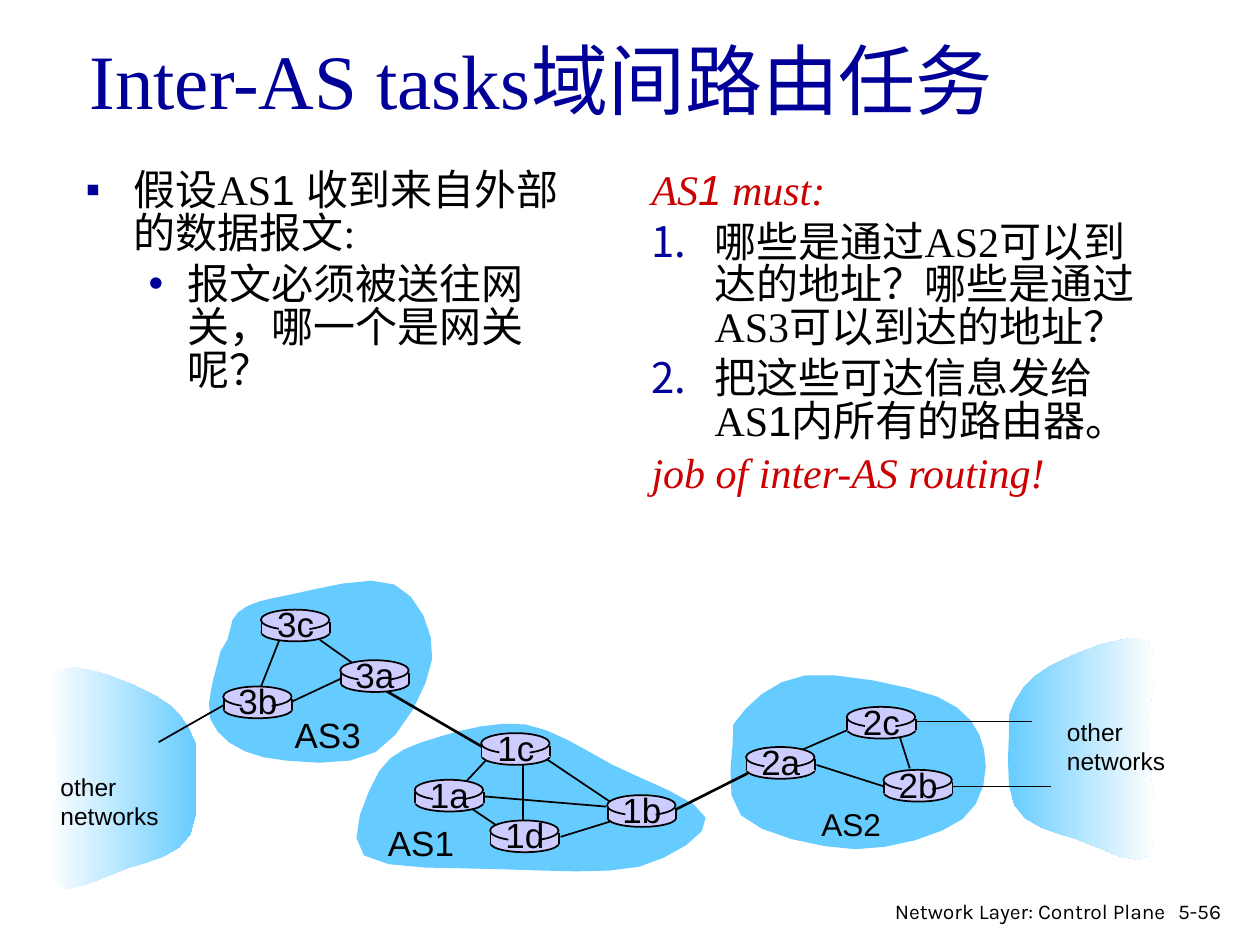
import pptx
import pptx.dml.color
import pptx.enum.shapes
import pptx.enum.text
import pptx.oxml
import pptx.oxml.ns
import pptx.util
from lxml import etree

Cm = pptx.util.Cm
Pt = pptx.util.Pt
Kind = pptx.enum.shapes.MSO_SHAPE
Align = pptx.enum.text.PP_ALIGN
qn = pptx.oxml.ns.qn
SERIF, SANS, FOOT = "Times New Roman", "Arial", "Karla"
NAVY, RED, BLACK = "000099", "CC0000", "000000"
SKY, LILAC, WHITE = "66CCFF", "CCCCFF", "FFFFFF"


def hue(code):
    return pptx.dml.color.RGBColor.from_string(code)


def join(x1, y1, x2, y2, width=1):
    """Draw a plain black line between two points given in cm."""
    line = slide.shapes.add_connector(
        pptx.enum.shapes.MSO_CONNECTOR.STRAIGHT, Cm(x1), Cm(y1), Cm(x2), Cm(y2))
    line.line.color.rgb = hue(BLACK)
    line.line.width = Pt(width)
    etree.SubElement(line._element.spPr, qn("a:effectLst"))


deck = pptx.Presentation()
deck.slide_width, deck.slide_height = Cm(25.4), Cm(19.05)
slide = deck.slides.add_slide(deck.slide_layouts[3])
title, left, right = slide.placeholders

# Title
title.left, title.top, title.width, title.height = Cm(1.55), Cm(0), Cm(21.59), Cm(3.18)
frame = title.text_frame
frame.text = "Inter-AS tasks域间路由任务"
frame.auto_size = pptx.enum.text.MSO_AUTO_SIZE.NONE
frame.vertical_anchor = pptx.enum.text.MSO_ANCHOR.MIDDLE
head = frame.paragraphs[0]
head.alignment = Align.LEFT
font = head.runs[0].font
font.name, font.size, font.color.rgb = SERIF, Pt(44), hue(NAVY)

# Lists: level, margin, indent, bullet, colour, runs
auto = ("a:buAutoNum", "type", "arabicPeriod")
none = ("a:buNone", None, None)
tasks = [
    (0, 0.97, -0.97, ("a:buChar", "char", "▪"), BLACK,
     [("假设AS", SERIF), ("1 ", SANS), ("收到来自外部的数据报文:", SERIF)]),
    (1, 2.06, -0.79, ("a:buChar", "char", "•"), BLACK,
     [("报文必须被送往网关，哪一个是网关呢？", SERIF)]),
]
duties = [
    (0, 1.27, -1.27, none, RED, [("AS", SERIF), ("1", SANS), (" must:", SERIF)]),
    (0, 1.27, -1.27, auto, BLACK,
     [("哪些是通过AS2可以到达的地址？哪些是通过AS3可以到达的地址？", SERIF)]),
    (0, 1.27, -1.27, auto, BLACK,
     [("把这些可达信息发给AS", SERIF), ("1内所有的路由器。", SANS)]),
    (0, 1.27, -1.27, none, RED, [("job of inter-AS routing!", SERIF)]),
]
for body, x, high, rows in [(left, 1.47, 8.1, tasks), (right, 12.88, 12.9, duties)]:
    body.left, body.top, body.width, body.height = Cm(x), Cm(3.33), Cm(10.59), Cm(high)
    frame = body.text_frame
    frame.auto_size = pptx.enum.text.MSO_AUTO_SIZE.NONE
    for i, (level, margin, indent, bullet, color, runs) in enumerate(rows):
        para = frame.add_paragraph() if i else frame.paragraphs[0]
        para.level = level
        para.line_spacing = 0.85
        para.space_before = Pt(4.8 if i else 0)
        props = para._p.get_or_add_pPr()
        props.set("marL", str(Cm(margin)))
        props.set("indent", str(Cm(indent)))
        props.set("hangingPunct", "0")
        tag, key, value = bullet
        if key:
            shade = etree.SubElement(props, qn("a:buClr"))
            etree.SubElement(shade, qn("a:srgbClr")).set("val", NAVY)
        mark = etree.SubElement(props, qn(tag))
        if key:
            mark.set(key, value)
        for text, face in runs:
            run = para.add_run()
            run.text = text
            run.font.name, run.font.size = face, Pt(24)
            run.font.color.rgb = hue(color)
            run.font.italic = color == RED

# Clouds: Bezier points in steps of 0.0254 cm
step = Cm(0.0254)
cloud = [(801, 567), (807, 551), (815, 539), (833, 529), (851, 519), (898, 499),
         (911, 509), (924, 518), (910, 559), (911, 587), (911, 616), (923, 665),
         (913, 678), (904, 691), (873, 672), (855, 666), (836, 660), (814, 656),
         (805, 639), (796, 623), (802, 582), (801, 567)]
mirror = [(956 - x, y + 23) for x, y in cloud]
as1 = [(301, 612), (311, 596), (328, 591), (348, 585), (367, 579), (394, 572),
       (417, 575), (440, 579), (462, 594), (486, 607), (509, 619), (557, 635),
       (560, 649), (564, 662), (533, 681), (507, 688), (480, 694), (436, 691),
       (400, 690), (364, 688), (306, 692), (289, 679), (273, 666), (292, 628),
       (301, 612)]
as2 = [(582, 575), (593, 559), (612, 540), (639, 536), (666, 533), (720, 544),
       (744, 553), (768, 563), (778, 579), (781, 595), (785, 611), (781, 637),
       (764, 650), (747, 663), (709, 674), (679, 674), (650, 673), (604, 663),
       (588, 647), (572, 631), (584, 590), (582, 575)]
as3 = [(175, 517), (186, 504), (180, 493), (189, 486), (198, 478), (210, 476),
       (230, 472), (251, 468), (294, 455), (313, 464), (332, 472), (345, 501),
       (343, 523), (340, 545), (320, 584), (298, 597), (276, 610), (230, 605),
       (209, 601), (187, 596), (173, 585), (167, 571), (162, 557), (173, 528),
       (175, 517)]
for points, colors in [(cloud, (SKY, WHITE)), (mirror, (WHITE, SKY)),
                       (as1, None), (as2, None), (as3, None)]:
    curve = []
    for k in range(0, len(points) - 1, 3):
        for n in range(1, 5):
            t = n / 4
            parts = ((1 - t) ** 3, 3 * t * (1 - t) ** 2, 3 * t * t * (1 - t), t ** 3)
            curve.append([step * sum(w * p[axis] for w, p in zip(parts, points[k:k + 4]))
                          for axis in (0, 1)])
    pen = slide.shapes.build_freeform(*curve[-1])
    pen.add_line_segments(curve[:-1], close=True)
    blob = pen.convert_to_shape()
    blob.shadow.inherit = False
    blob.line.fill.background()
    if colors:
        blob.fill.gradient()
        blob.fill.gradient_angle = 0
        for stop, color in zip(blob.fill.gradient_stops, colors):
            stop.color.rgb = hue(color)
    else:
        blob.fill.solid()
        blob.fill.fore_color.rgb = hue(SKY)

# Links between routers
links = [
    (5.87, 14.15, 6.96, 13.64), (7.14, 13.39, 6.45, 12.9), (5.64, 12.88, 5.23, 13.92),
    (9.83, 15.29, 9.4, 15.75), (10.54, 15.39, 10.54, 16.66), (10.97, 15.27, 12.37, 16.21),
    (12.37, 16.54, 11.3, 16.87), (12.22, 16.26, 9.7, 16.05), (9.45, 16.26, 10.01, 16.64),
    (15.95, 15.21, 17.17, 14.68), (16.46, 15.42, 17.81, 15.85), (18.14, 14.86, 18.34, 15.49),
    (4.5, 14.22, 3.2, 14.96), (18.44, 14.55, 20.8, 14.55, 0.75),
    (19.13, 15.85, 21.18, 15.85, 0.75), (13.64, 16.31, 15.11, 15.57, 1.5),
    (7.77, 13.92, 9.73, 15.06, 1.5),
]
for link in links:
    join(*link)

# Routers, each a flat drum with a patch behind its name
routers = [("3b", 4.5, 13.84), ("3c", 5.26, 12.29), ("3a", 6.86, 13.31),
           ("1c", 9.7, 14.78), ("1a", 8.36, 15.72), ("1d", 9.88, 16.54),
           ("1b", 12.24, 16.03), ("2a", 15.04, 15.06), ("2c", 17.07, 14.25),
           ("2b", 17.81, 15.52)]
drum = [(Kind.OVAL, 0.01, 0.28, 1.38, 0.36), (Kind.RECTANGLE, 0.01, 0.25, 1.38, 0.23),
        (Kind.OVAL, 0, 0, 1.38, 0.41), (Kind.RECTANGLE, 0.37, 0.05, 0.61, 0.5)]
labels = [
    ("AS3", 5.69, 14.25, 1.85, 1.09, 20, SANS, Align.LEFT),
    ("AS2", 16.31, 16.1, 1.7, 1.02, 18, SANS, Align.LEFT),
    ("AS1", 7.57, 16.43, 1.85, 1.09, 20, SANS, Align.LEFT),
    ("other\nnetworks", 21.26, 14.33, 2.49, 1.45, 14, SANS, Align.LEFT),
    ("other\nnetworks", 0.97, 15.44, 2.49, 1.45, 14, SANS, Align.LEFT),
    ("5-56", 23.5, 17.98, 1.52, 0.76, 12, FOOT, Align.LEFT),
    ("Network Layer: Control Plane", 17.7, 17.98, 6.05, 0.66, 12, FOOT, Align.RIGHT),
]
for name, x, y in routers:
    for kind, dx, dy, wide, high in drum:
        part = slide.shapes.add_shape(kind, Cm(x + dx), Cm(y + dy), Cm(wide), Cm(high))
        part.shadow.inherit = False
        part.fill.solid()
        part.fill.fore_color.rgb = hue(LILAC)
        if kind == Kind.OVAL:
            part.line.color.rgb = hue(BLACK)
            part.line.width = Pt(1)
        else:
            part.line.fill.background()
    for side in (x + 0.01, x + 1.39):
        join(side, y + 0.25, side, y + 0.47)
    labels.append((name, x - 0.05, y - 0.26, 1.5, 1.09, 20, SANS, Align.CENTER))

# Labels and footer
for text, x, y, wide, high, size, face, align in labels:
    box = slide.shapes.add_textbox(Cm(x), Cm(y), Cm(wide), Cm(high))
    box.text_frame.text = text
    box.text_frame.word_wrap = False
    for para in box.text_frame.paragraphs:
        para.alignment = align
        font = para.runs[0].font
        font.name, font.size, font.color.rgb = face, Pt(size), hue(BLACK)

deck.save("out.pptx")
